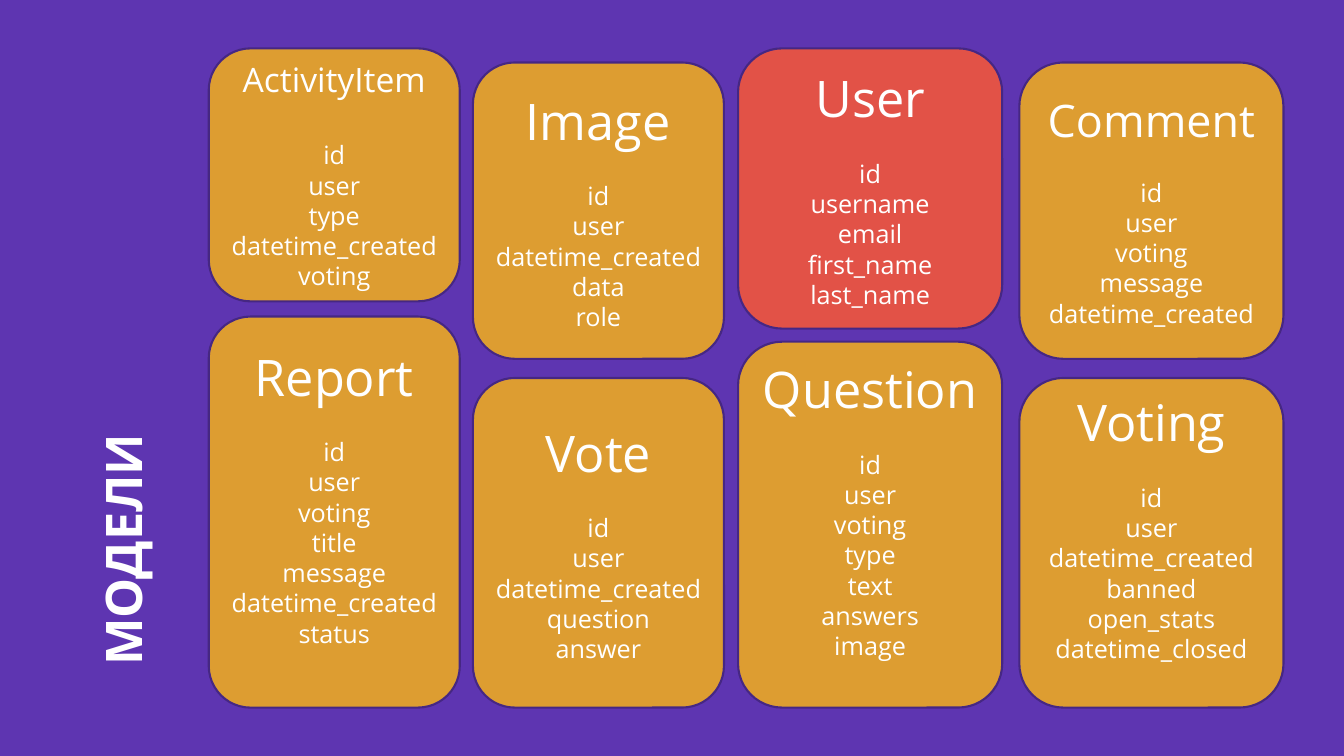
from dataclasses import dataclass

from pptx import Presentation
from pptx.dml.color import RGBColor
from pptx.enum.shapes import MSO_SHAPE
from pptx.enum.text import MSO_ANCHOR, PP_ALIGN
from pptx.slide import Slide
from pptx.util import Inches, Pt

PURPLE = RGBColor(0x5E, 0x35, 0xB1)
OUTLINE = RGBColor(0x46, 0x27, 0x83)
AMBER = RGBColor(0xDD, 0x9D, 0x31)
RED = RGBColor(0xE2, 0x52, 0x47)
WHITE = RGBColor(0xFF, 0xFF, 0xFF)
FONT = "Open Sans"
FLOOR = 7.02  # shared bottom edge of the lower cards


@dataclass
class Column:
    left: float
    width: float


@dataclass
class Model:
    name: str
    fields: str
    column: int
    top: float
    bottom: float = FLOOR
    name_size: int = 36
    gap: float = 21.6  # points between name and fields
    lift: float = 0  # inches kept free under the text
    fill: RGBColor = AMBER


COLUMNS = [Column(2.07, 2.49), Column(4.69, 2.49), Column(7.32, 2.62), Column(10.11, 2.62)]

MODELS = [
    Model("ActivityItem", "id user type datetime_created voting", 0, 0.48, 2.99,
          name_size=24, gap=28.8),
    Model("Report", "id user voting title message datetime_created status", 0, 3.14, lift=0.3),
    Model("Image", "id user datetime_created data role", 1, 0.62, 3.56),
    Model("Vote", "id user datetime_created question answer", 1, 3.75),
    Model("User", "id username email first_name last_name", 2, 0.48, 3.26, fill=RED),
    Model("Question", "id user voting type text answers image", 2, 3.39, lift=0.3),
    Model("Comment", "id user voting message datetime_created", 3, 0.62, 3.56, name_size=32),
    Model("Voting", "id user datetime_created banned open_stats datetime_closed", 3, 3.75,
          lift=0.3),
]


def add_title(page: Slide, text: str) -> None:
    box = page.shapes.add_textbox(Inches(-4.33), Inches(0.37), Inches(11.08), Inches(1.59))
    box.rotation = 270
    frame = box.text_frame
    frame.word_wrap = True
    frame.vertical_anchor = MSO_ANCHOR.MIDDLE
    para = frame.paragraphs[0]
    para.text = text
    para.font.name, para.font.size, para.font.bold = FONT, Pt(36), True
    para.font.color.rgb = WHITE


def add_card(page: Slide, model: Model) -> None:
    column = COLUMNS[model.column]
    card = page.shapes.add_shape(
        MSO_SHAPE.ROUNDED_RECTANGLE, Inches(column.left), Inches(model.top),
        Inches(column.width), Inches(model.bottom - model.top))
    card.shadow.inherit = False
    card.fill.solid()
    card.fill.fore_color.rgb = model.fill
    card.line.color.rgb = OUTLINE
    card.line.width = Pt(1.5)

    frame = card.text_frame
    frame.word_wrap = True
    frame.vertical_anchor = MSO_ANCHOR.MIDDLE
    frame.margin_top = 0
    frame.margin_bottom = Inches(model.lift)
    for index, text in enumerate([model.name, *model.fields.split()]):
        para = frame.paragraphs[0] if index == 0 else frame.add_paragraph()
        para.text = text
        para.alignment = PP_ALIGN.CENTER
        para.font.name = FONT
        para.font.size = Pt(18 if index else model.name_size)
        para.font.color.rgb = WHITE
    frame.paragraphs[0].space_after = Pt(model.gap)


def main() -> None:
    deck = Presentation()
    deck.slide_width, deck.slide_height = Inches(13.33), Inches(7.5)
    page = deck.slides.add_slide(deck.slide_layouts[6])
    page.background.fill.solid()
    page.background.fill.fore_color.rgb = PURPLE

    # Vertical heading
    add_title(page, "МОДЕЛИ")

    # Model cards
    for model in MODELS:
        add_card(page, model)

    deck.save("out.pptx")


if __name__ == "__main__":
    main()
